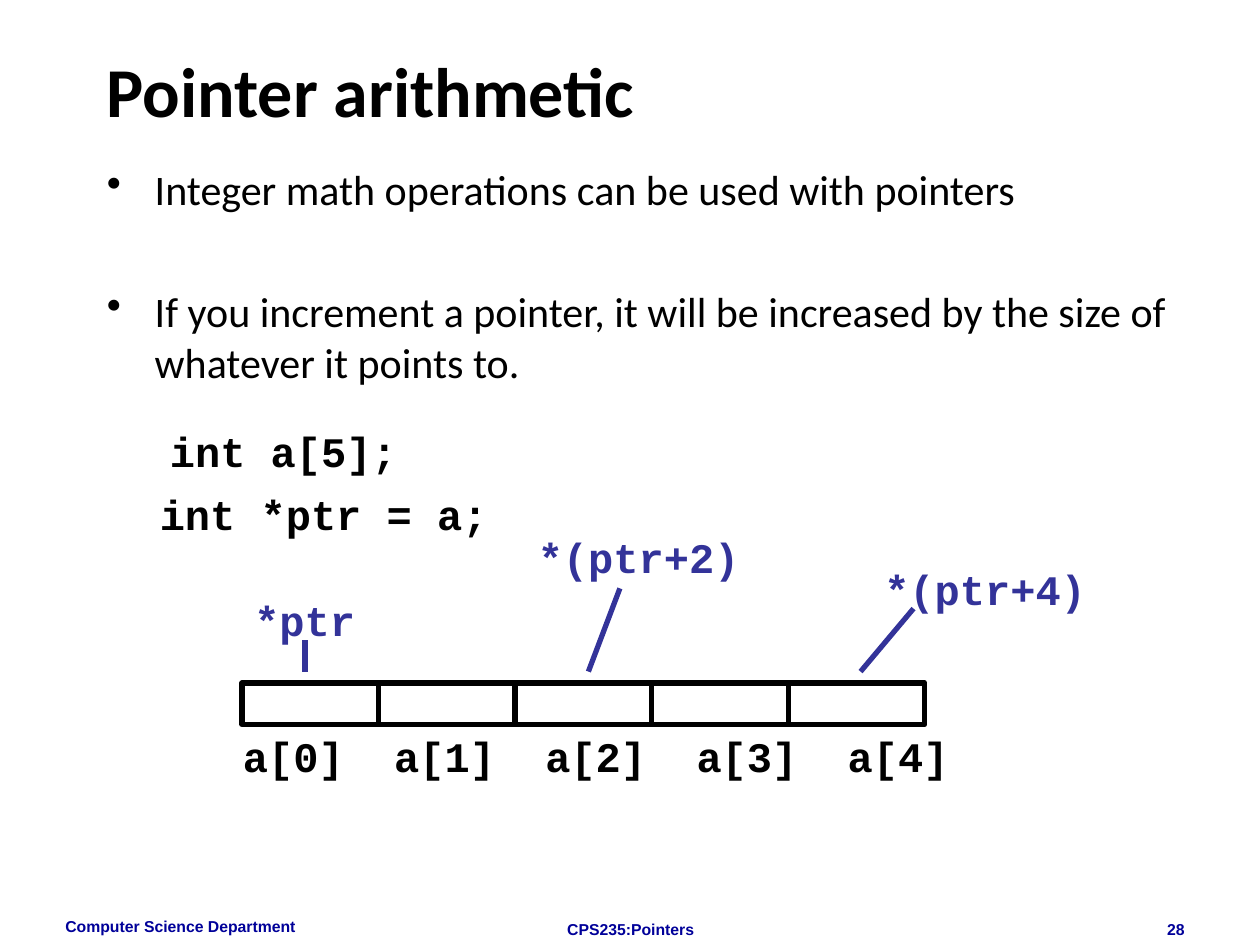
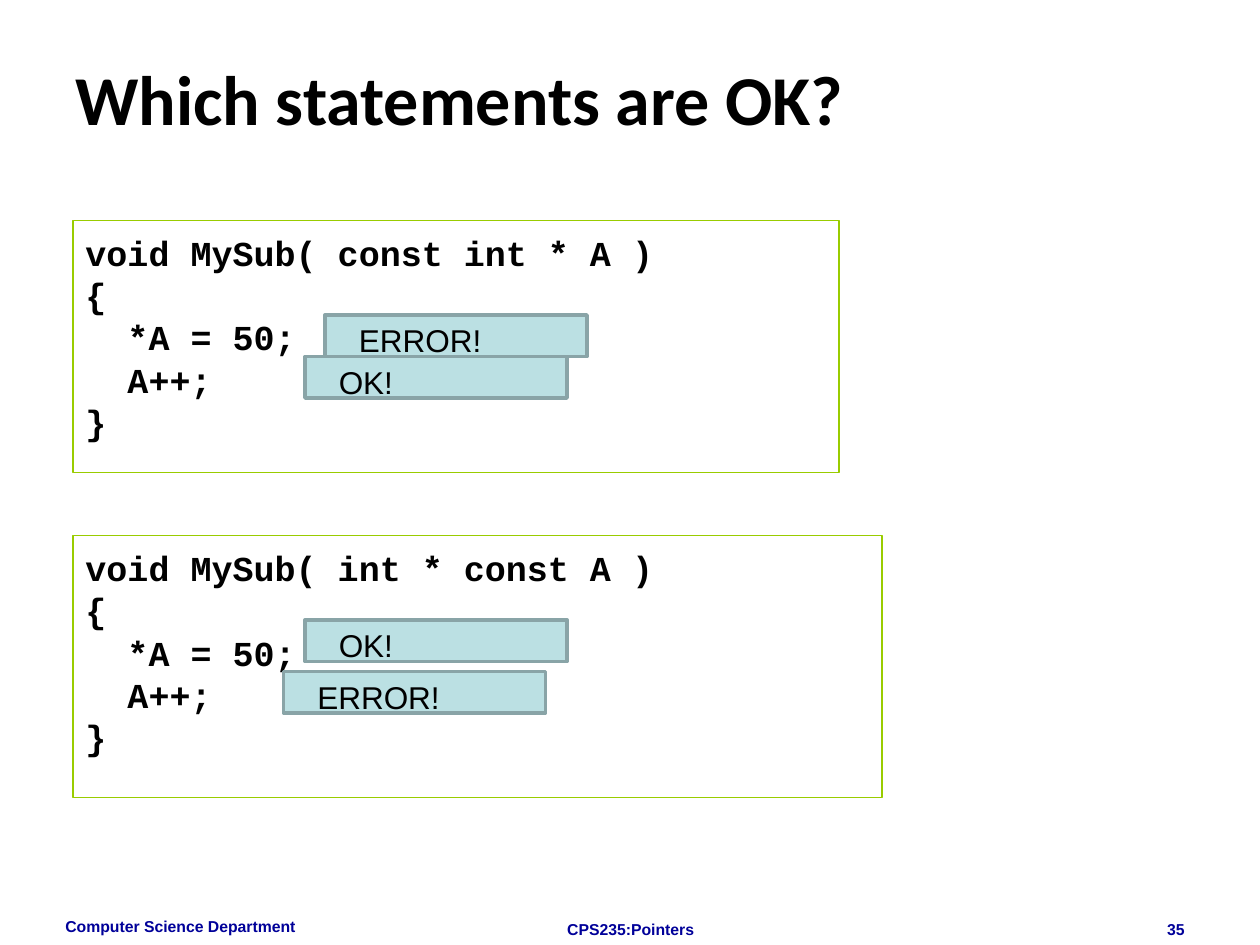
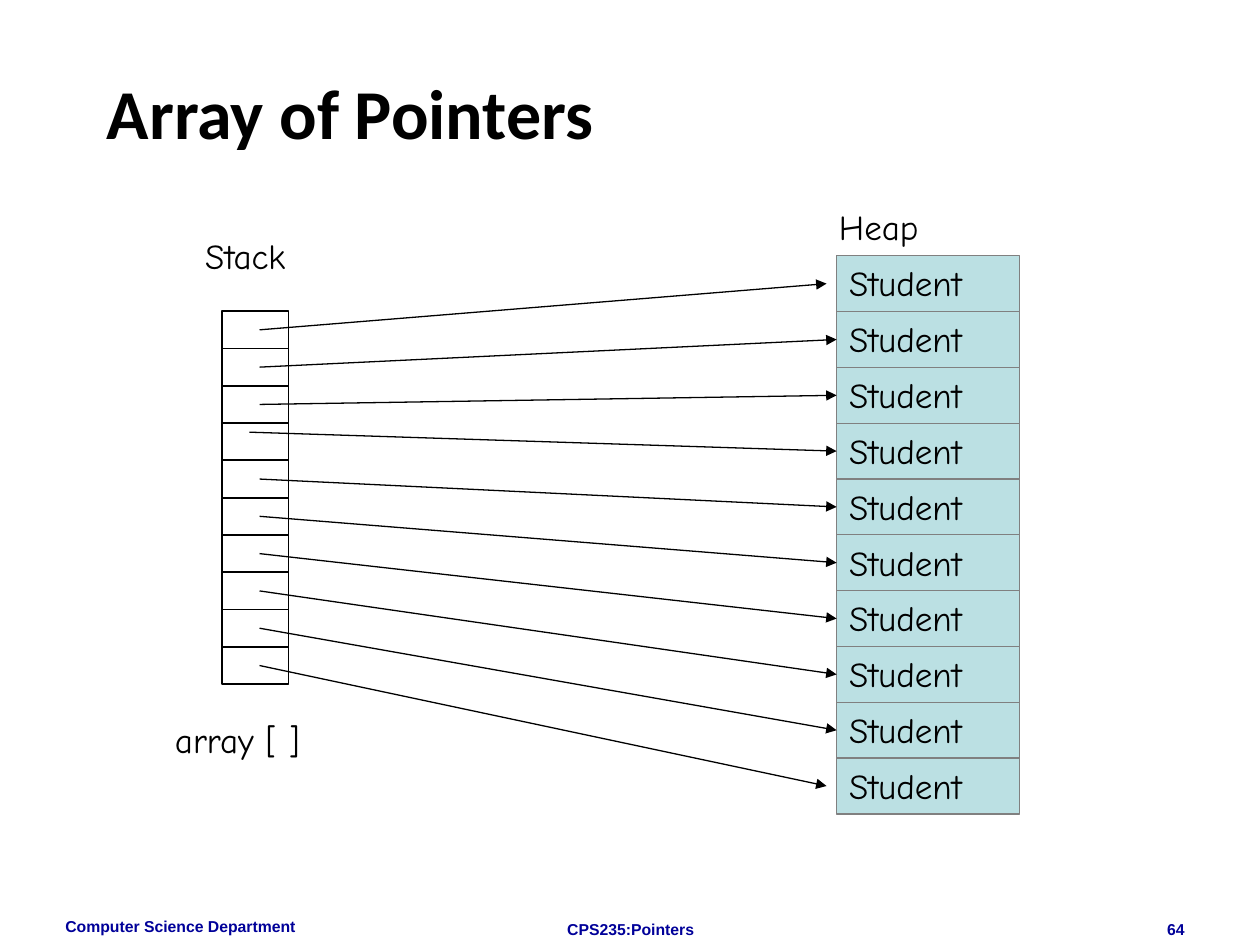
"""Build three lecture slides about pointers in C."""
from dataclasses import dataclass
from typing import Any, Optional

from lxml import etree
from pptx import Presentation
from pptx import util as u
from pptx.dml import color
from pptx.enum import shapes, text
from pptx.oxml import ns


@dataclass(frozen=True)
class Theme:
    black: str = "000000"
    footer: str = "000099"
    pointer: str = "333399"
    code_border: str = "99CC00"
    panel: str = "BBE0E3"
    badge_border: str = "89A4A7"
    student_border: str = "808080"
    heading_font: str = "Calibri"
    plain_font: str = "Arial"
    code_font: str = "Courier New"
    diagram_font: str = "Comic Neue"
    title_size: float = 40
    body_size: float = 24
    code_size: float = 20
    badge_size: float = 18
    footer_size: float = 9


THEME = Theme()


@dataclass(frozen=True)
class Box:
    left: float
    top: float
    width: float
    height: float

    def lengths(self) -> list[int]:
        return [u.Inches(side) for side in (self.left, self.top, self.width, self.height)]


@dataclass(frozen=True)
class Style:
    font: str
    size: float
    colour: str = THEME.black
    bold: bool = False
    align: Any = text.PP_ALIGN.LEFT
    line_spacing: Optional[float] = None
    space_before: float = 0


@dataclass(frozen=True)
class Outline:
    colour: str
    width: float


@dataclass(frozen=True)
class Segment:
    start: tuple[float, float]
    end: tuple[float, float]


@dataclass(frozen=True)
class Label:
    words: str
    box: Box


@dataclass(frozen=True)
class CodePanel:
    signature: str
    box: Box


TITLE = Style(THEME.heading_font, THEME.title_size, bold=True)
BULLET = Style(THEME.heading_font, THEME.body_size, space_before=41)
CODE = Style(THEME.code_font, THEME.body_size, bold=True)
POINTER = Style(THEME.code_font, THEME.body_size, THEME.pointer, bold=True)
LISTING = Style(THEME.code_font, THEME.code_size, bold=True, line_spacing=0.8, space_before=5)
BADGE = Style(THEME.plain_font, THEME.badge_size)
DIAGRAM = Style(THEME.diagram_font, THEME.code_size)


def rgb(colour: str) -> color.RGBColor:
    return color.RGBColor.from_string(colour)


def write(shape: Any, lines: list[str], style: Style, wrap: bool = True, grow: bool = False,
          anchor: Any = text.MSO_ANCHOR.TOP, top_inset: float = 0.05) -> None:
    """Fill a shape with paragraphs in one style."""
    frame = shape.text_frame
    frame.text = "\n".join(lines)
    frame.word_wrap = wrap
    frame.auto_size = text.MSO_AUTO_SIZE.SHAPE_TO_FIT_TEXT if grow else text.MSO_AUTO_SIZE.NONE
    frame.vertical_anchor = anchor
    frame.margin_left = frame.margin_right = u.Inches(0.1)
    frame.margin_top, frame.margin_bottom = u.Inches(top_inset), u.Inches(0.05)
    for index, paragraph in enumerate(frame.paragraphs):
        paragraph.alignment = style.align
        paragraph.line_spacing = style.line_spacing
        paragraph.space_before = u.Pt(style.space_before if index else 0)
        for run in paragraph.runs:
            run.font.name = style.font
            run.font.size = u.Pt(style.size)
            run.font.bold = style.bold
            run.font.color.rgb = rgb(style.colour)


def add_text(target: Any, box: Box, lines: list[str], style: Style, **options: Any) -> Any:
    shape = target.shapes.add_textbox(*box.lengths())
    write(shape, lines, style, **options)
    return shape


def add_rectangle(target: Any, box: Box, outline: Outline, fill: Optional[str] = None) -> Any:
    shape = target.shapes.add_shape(shapes.MSO_SHAPE.RECTANGLE, *box.lengths())
    shape.shadow.inherit = False
    if fill:
        shape.fill.solid()
        shape.fill.fore_color.rgb = rgb(fill)
    else:
        shape.fill.background()
    shape.line.color.rgb = rgb(outline.colour)
    shape.line.width = u.Pt(outline.width)
    return shape


def add_line(slide: Any, segment: Segment, outline: Outline, arrow: bool = False) -> None:
    ends = [u.Inches(value) for value in segment.start + segment.end]
    line = slide.shapes.add_connector(shapes.MSO_CONNECTOR.STRAIGHT, *ends)
    line.line.color.rgb = rgb(outline.colour)
    line.line.width = u.Pt(outline.width)
    if arrow:
        etree.SubElement(line.line._get_or_add_ln(), ns.qn("a:tailEnd"), type="triangle")
    etree.SubElement(line._element.spPr, ns.qn("a:effectLst"))


def indent(paragraph: Any, margin: float, first_line: float = 0) -> Any:
    properties = paragraph._p.get_or_add_pPr()
    properties.set("marL", str(u.Inches(margin)))
    properties.set("indent", str(u.Inches(first_line)))
    return properties


def add_bullets(slide: Any, box: Box, lines: list[str]) -> None:
    shape = add_text(slide, box, lines, BULLET)
    for paragraph in shape.text_frame.paragraphs:
        properties = indent(paragraph, 0.38, -0.38)
        bullet_colour = etree.SubElement(properties, ns.qn("a:buClr"))
        etree.SubElement(bullet_colour, ns.qn("a:srgbClr"), val=THEME.black)
        etree.SubElement(properties, ns.qn("a:buChar"), char="•")


def add_tabs(paragraph: Any, pitch: float, count: int) -> None:
    tabs = etree.SubElement(paragraph._p.get_or_add_pPr(), ns.qn("a:tabLst"))
    for index in range(1, count + 1):
        etree.SubElement(tabs, ns.qn("a:tab"), pos=str(u.Inches(pitch * index)), algn="l")


def add_badge(slide: Any, words: str, left: float, top: float) -> None:
    """Add a verdict as a filled bar grouped with its words."""
    group = slide.shapes.add_group_shape()
    add_rectangle(group, Box(left, top, 2.08, 0.33), Outline(THEME.badge_border, 2), THEME.panel)
    add_text(group, Box(left + 0.17, top, 1.58, 0.4), [words], BADGE, grow=True)


def start_slide(presentation: Any, title: str, title_box: Box, number: int,
                anchor: Any = text.MSO_ANCHOR.TOP) -> Any:
    """Add a blank slide with its title and footers."""
    slide = presentation.slides.add_slide(presentation.slide_layouts[6])
    footers = [
        (Label("Computer Science Department", Box(0.42, 7.23, 2.33, 0.27)), text.PP_ALIGN.LEFT),
        (Label("CPS235:Pointers", Box(3.42, 7.25, 3.17, 0.1)), text.PP_ALIGN.CENTER),
        (Label(str(number), Box(7.17, 7.25, 2.33, 0.1)), text.PP_ALIGN.RIGHT),
    ]
    for label, align in footers:
        style = Style(THEME.plain_font, THEME.footer_size, THEME.footer, bold=True, align=align)
        add_text(slide, label.box, [label.words], style)
    add_text(slide, title_box, [title], TITLE, anchor=anchor)
    return slide


def build_arithmetic(presentation: Any) -> None:
    slide = start_slide(presentation, "Pointer arithmetic", Box(0.75, 0.33, 8.5, 0.67), 28)
    add_bullets(slide, Box(0.75, 1.25, 8.83, 2.33), [
        "Integer math operations can be used with pointers",
        "If you increment a pointer, it will be increased by the size of whatever it points to.",
    ])
    count, cell_width = 5, 5.42 / 5
    for index in range(count):
        cell = Box(1.92 + index * cell_width, 5.42, cell_width, 0.33)
        add_rectangle(slide, cell, Outline(THEME.black, 3))
    names = "\t".join(f"a[{index}]" for index in range(count))
    name_row = add_text(slide, Box(1.83, 5.75, 6.5, 0.5), [names], CODE, grow=True)
    add_tabs(name_row.text_frame.paragraphs[0], 1.2, count - 1)

    declarations = [
        Label("int a[5];", Box(1.25, 3.33, 2, 0.5)),
        Label("int *ptr = a;", Box(1.17, 3.83, 2.8, 0.5)),
    ]
    pointers = [
        Label("*ptr", Box(1.92, 4.67, 1, 0.5)),
        Label("*(ptr+2)", Box(4.17, 4.17, 1.8, 0.5)),
        Label("*(ptr+4)", Box(6.92, 4.42, 1.8, 0.5)),
    ]
    for labels, style in ((declarations, CODE), (pointers, POINTER)):
        for label in labels:
            add_text(slide, label.box, [label.words], style, wrap=False, grow=True)
    for segment in (
        Segment((2.42, 5.08), (2.42, 5.33)),
        Segment((4.92, 4.67), (4.67, 5.33)),
        Segment((7.25, 4.83), (6.83, 5.33)),
    ):
        add_line(slide, segment, Outline(THEME.pointer, 3))


def build_statements(presentation: Any) -> None:
    slide = start_slide(presentation, "Which statements are OK?", Box(0.5, 0.3, 9, 0.95), 35,
                        text.MSO_ANCHOR.MIDDLE)
    body = ["{", "  *A = 50;", "  A++;", "}"]
    for panel in (
        CodePanel("void MySub( const int * A )", Box(0.58, 1.75, 6.08, 2)),
        CodePanel("void MySub( int * const A )", Box(0.58, 4.25, 6.42, 2.08)),
    ):
        shape = add_rectangle(slide, panel.box, Outline(THEME.code_border, 0.75))
        write(shape, [panel.signature] + body, LISTING, top_inset=0.15)
    add_badge(slide, "ERROR!", 2.58, 2.5)
    add_badge(slide, "OK!", 2.42, 2.83)
    add_badge(slide, "ERROR!", 2.25, 5.33)
    add_badge(slide, "OK!", 2.42, 4.92)


def build_pointer_array(presentation: Any) -> None:
    slide = start_slide(presentation, "Array of Pointers", Box(0.75, 0.5, 8.5, 0.67), 64)
    count = 10
    heap_top, student_height = 2.03, 4.43 / count
    stack_top, cell_height = 2.47, 2.96 / count
    for index in range(count):
        student_box = Box(6.64, heap_top + index * student_height, 1.45, student_height)
        student = add_rectangle(slide, student_box, Outline(THEME.student_border, 0.75), THEME.panel)
        write(student, ["Student"], DIAGRAM, grow=True)
    for index in range(count):
        cell = Box(1.76, stack_top + index * cell_height, 0.53, cell_height)
        add_rectangle(slide, cell, Outline(THEME.black, 1))
    shifted_starts = {3: (1.98, 3.43)}
    for index in range(count):
        start = shifted_starts.get(index, (2.06, stack_top + (index + 0.5) * cell_height))
        end_left = 6.56 if index in (0, count - 1) else 6.64
        end = (end_left, heap_top + (index + 0.5) * student_height)
        add_line(slide, Segment(start, end), Outline(THEME.black, 0.75), arrow=True)
    for label in (
        Label("Heap", Box(6.56, 1.58, 1.52, 0.44)),
        Label("Stack", Box(1.53, 1.81, 0.99, 0.44)),
    ):
        add_text(slide, label.box, [label.words], DIAGRAM, grow=True)
    caption = add_text(slide, Box(0.92, 5.65, 1.91, 0.44), ["array [ ]"], DIAGRAM, grow=True)
    indent(caption.text_frame.paragraphs[0], 0.37)


def main() -> None:
    presentation = Presentation()
    presentation.slide_width, presentation.slide_height = u.Inches(10), u.Inches(7.5)
    build_arithmetic(presentation)
    build_statements(presentation)
    build_pointer_array(presentation)
    presentation.save("out.pptx")


if __name__ == "__main__":
    main()
